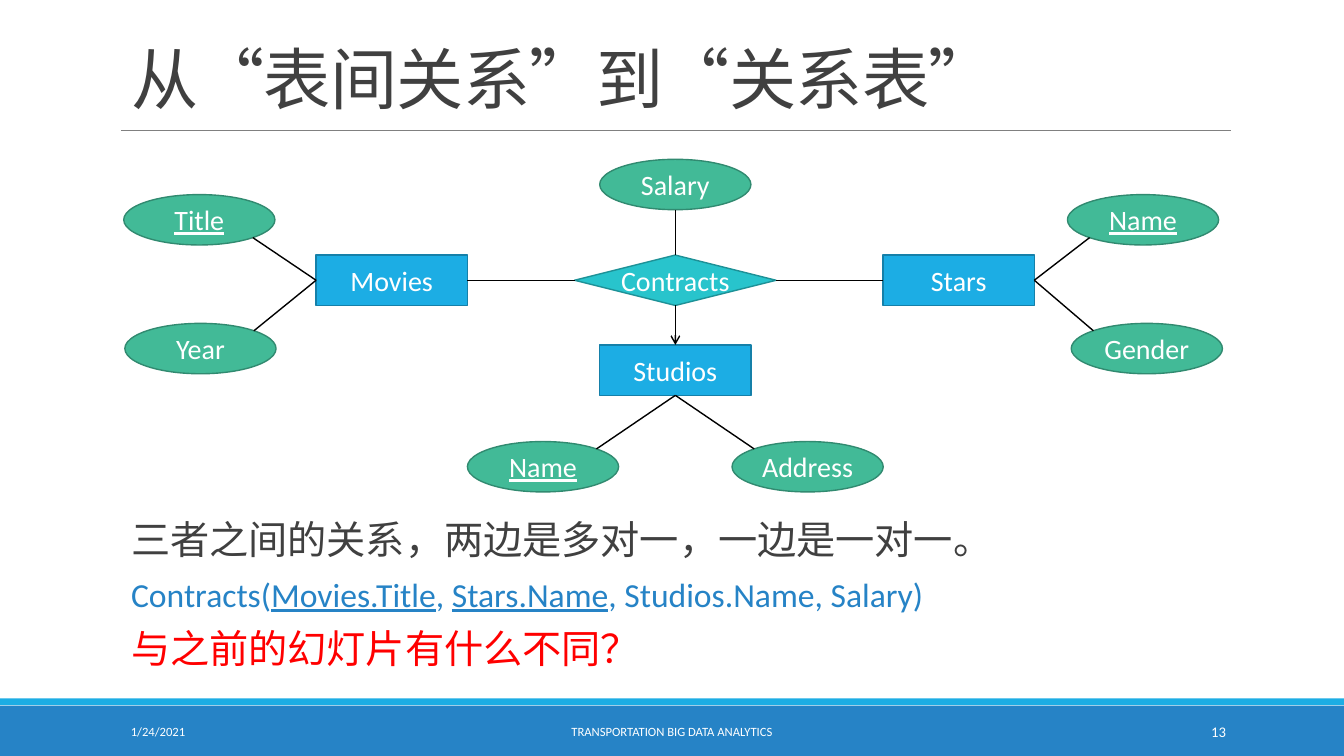
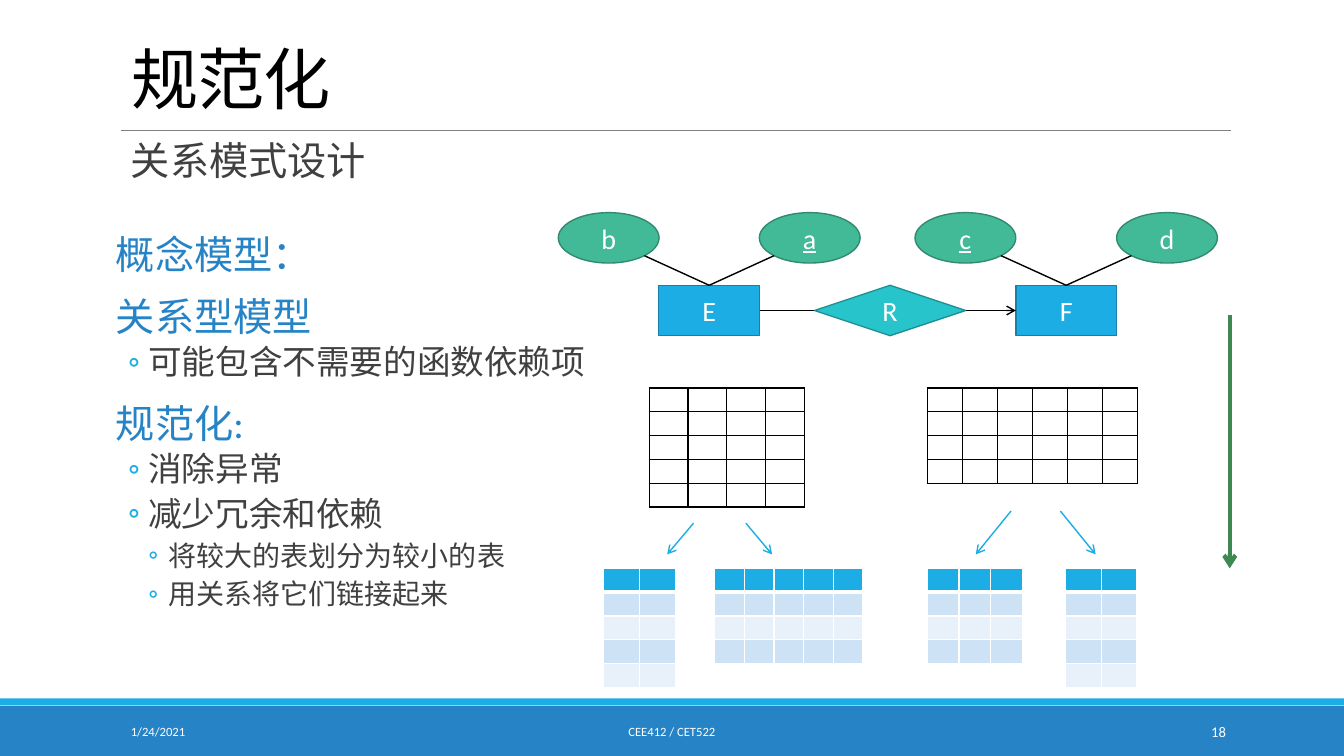
from dataclasses import dataclass
from math import sqrt

from lxml.etree import SubElement
from pptx import Presentation
from pptx.dml.color import RGBColor
from pptx.enum.lang import MSO_LANGUAGE_ID
from pptx.enum.shapes import MSO_CONNECTOR, MSO_SHAPE
from pptx.enum.text import MSO_ANCHOR, MSO_AUTO_SIZE, PP_ALIGN
from pptx.oxml.ns import qn
from pptx.util import Pt

FONT = "Calibri"
COLORS = {
    "ink": "404040", "black": "000000", "white": "FFFFFF", "red": "FF0000",
    "blue": "2683C6", "sky": "1CADE4", "sky_edge": "1580A9",
    "teal": "28C4CC", "teal_edge": "1E9197",
    "green": "42BA97", "green_edge": "318A70",
    "rule": "808080", "flow": "3E8853",
    "row_dark": "CDE3F5", "row_light": "E8F1FA",
}
ROW_HEIGHT = 17
# Unit direction from a node's centre, and the site number on a four-site shape
SIDES = {
    "top": (0, -1, 0), "left": (-1, 0, 1), "bottom": (0, 1, 2), "right": (1, 0, 3),
    "top left": (-1, -1, None), "top right": (1, -1, None),
    "bottom left": (-1, 1, None), "bottom right": (1, 1, None),
}
KINDS = {
    "entity": (MSO_SHAPE.RECTANGLE, "sky"),
    "relation": (MSO_SHAPE.DIAMOND, "teal"),
    "attribute": (MSO_SHAPE.OVAL, "green"),
}


@dataclass(frozen=True)
class Node:
    label: str
    kind: str
    left: float
    top: float
    width: float = 108
    height: float = 36
    key: bool = False

    def site(self, side: str) -> tuple[float, float]:
        dx, dy, _ = SIDES[side]
        reach = sqrt(0.5) if dx and dy else 1
        return (self.left + self.width / 2 * (1 + dx * reach),
                self.top + self.height / 2 * (1 + dy * reach))


@dataclass(frozen=True)
class Link:
    start: str
    start_side: str
    end: str
    end_side: str
    arrow: bool = False


@dataclass(frozen=True)
class Line:
    """A paragraph; each run is its text and whether it is underlined."""
    runs: tuple
    size: float = 28
    color: str = "ink"
    level: int = 0


@dataclass(frozen=True)
class Grid:
    left: float
    top: float
    columns: int
    rows: int
    column_width: float
    banded: bool = True


def rgb(name: str) -> RGBColor:
    return RGBColor.from_string(COLORS[name])


def write(paragraph, text: str, *, size: float, color: str = "white",
          underline: bool = False, tracking: float = 0) -> None:
    run = paragraph.add_run()
    run.text = text
    run.font.name = FONT
    run.font.size = Pt(size)
    run.font.color.rgb = rgb(color)
    run.font.language_id = MSO_LANGUAGE_ID.SIMPLIFIED_CHINESE
    if underline:
        run.font.underline = True
    if tracking:
        run.font._element.set("spc", str(round(tracking * 100)))


def place(shape, left: float, top: float, width: float, height: float) -> None:
    shape.left, shape.top, shape.width, shape.height = map(Pt, (left, top, width, height))


def add_block(slide, kind, box: tuple, fill: str, edge: str | None = None):
    block = slide.shapes.add_shape(kind, *map(Pt, box))
    block.shadow.inherit = False
    block.fill.solid()
    block.fill.fore_color.rgb = rgb(fill)
    if edge:
        block.line.color.rgb = rgb(edge)
        block.line.width = Pt(1)
    else:
        block.line.fill.background()
    return block


def add_line(slide, start: tuple, end: tuple, *, color: str = "black",
             width: float = 1, arrow: bool = False):
    line = slide.shapes.add_connector(MSO_CONNECTOR.STRAIGHT, *map(Pt, start + end))
    line.line.color.rgb = rgb(color)
    line.line.width = Pt(width)
    properties = line._element.spPr
    if arrow:
        SubElement(properties.find(qn("a:ln")), qn("a:tailEnd"), type="arrow")
    SubElement(properties, qn("a:effectLst"))
    return line


def add_diagram(slide, nodes: dict[str, Node], links: list[Link]) -> None:
    drawn = {}
    for name, node in nodes.items():
        kind, fill = KINDS[node.kind]
        block = add_block(slide, kind, (node.left, node.top, node.width, node.height),
                          fill, f"{fill}_edge")
        frame = block.text_frame
        frame.word_wrap = False
        frame.vertical_anchor = MSO_ANCHOR.MIDDLE
        frame.paragraphs[0].alignment = PP_ALIGN.CENTER
        write(frame.paragraphs[0], node.label, size=20, underline=node.key)
        drawn[name] = block
    for link in links:
        line = add_line(slide, nodes[link.start].site(link.start_side),
                        nodes[link.end].site(link.end_side), arrow=link.arrow)
        line.begin_connect(drawn[link.start], SIDES[link.start_side][2])
        if nodes[link.end].kind != "attribute":
            line.end_connect(drawn[link.end], SIDES[link.end_side][2])


def fill_lines(frame, lines: list[Line], spacing: float) -> None:
    frame.word_wrap = True
    frame.auto_size = MSO_AUTO_SIZE.NONE
    frame.vertical_anchor = MSO_ANCHOR.TOP
    frame.margin_left = frame.margin_right = 0
    for index, line in enumerate(lines):
        paragraph = frame.paragraphs[0] if index == 0 else frame.add_paragraph()
        paragraph.level = line.level
        paragraph.line_spacing = spacing
        before, after = (2, 4) if line.level else (12, 2)
        paragraph.space_before = Pt(before if index else 0)
        paragraph.space_after = Pt(after)
        properties = paragraph._p.get_or_add_pPr()
        margin, indent = (16 + 14.4 * line.level, -14.4) if line.level else (7.2, 0)
        properties.set("marL", str(Pt(margin)))
        properties.set("indent", str(Pt(indent)))
        if line.level:
            tint = SubElement(properties, qn("a:buClr"))
            SubElement(tint, qn("a:srgbClr"), val=COLORS["sky"])
            SubElement(properties, qn("a:buFont"), typeface=FONT)
            SubElement(properties, qn("a:buChar"), char="◦")
        else:
            SubElement(properties, qn("a:buNone"))
        for text, underline in line.runs:
            write(paragraph, text, size=line.size, color=line.color, underline=underline)


def plain(text: str, size: float = 28, color: str = "ink", level: int = 0) -> Line:
    return Line(((text, False),), size, color, level)


def set_borders(cell, color: str, top: float = 1, bottom: float = 1) -> None:
    properties = cell._tc.get_or_add_tcPr()
    widths = {"lnL": 1, "lnR": 1, "lnT": top, "lnB": bottom}
    for position, (edge, width) in enumerate(widths.items()):
        border = SubElement(properties, qn(f"a:{edge}"), w=str(Pt(width)))
        paint = SubElement(border, qn("a:solidFill"))
        SubElement(paint, qn("a:srgbClr"), val=COLORS[color])
        properties.insert(position, border)


def add_grid(slide, grid: Grid) -> None:
    frame = slide.shapes.add_table(
        grid.rows, grid.columns, Pt(grid.left), Pt(grid.top),
        Pt(grid.columns * grid.column_width), Pt(grid.rows * ROW_HEIGHT))
    table = frame.table
    table.first_row = table.horz_banding = False
    for column in table.columns:
        column.width = Pt(grid.column_width)
    for number, row in enumerate(table.rows):
        row.height = Pt(ROW_HEIGHT)
        for cell in row.cells:
            cell.margin_top = cell.margin_bottom = 0
            SubElement(cell.text_frame.paragraphs[0]._p, qn("a:endParaRPr"), sz="800")
            if grid.banded:
                band = "row_dark" if number % 2 else "row_light"
                cell.fill.solid()
                cell.fill.fore_color.rgb = rgb(band if number else "sky")
                set_borders(cell, "white", top=3 if number == 1 else 1,
                            bottom=1 if number else 3)
            else:
                cell.fill.background()
                set_borders(cell, "black")


def start_slide(deck, title: str, footer: str, page: str, title_color: str = "ink"):
    """Add a slide with its title, rule, bands and footer."""
    slide = deck.slides.add_slide(deck.slide_layouts[1])
    add_block(slide, MSO_SHAPE.RECTANGLE, (0, 504, 960, 36), "blue")
    add_block(slide, MSO_SHAPE.RECTANGLE, (0, 498.8, 960, 5), "sky")
    add_line(slide, (86.4, 93), (879, 93), color="rule", width=0.5)
    heading = slide.shapes.title
    place(heading, 86.4, 9.4, 792, 78.5)
    frame = heading.text_frame
    frame.auto_size = MSO_AUTO_SIZE.NONE
    frame.vertical_anchor = MSO_ANCHOR.BOTTOM
    paragraph = frame.paragraphs[0]
    paragraph.alignment = PP_ALIGN.LEFT
    paragraph.line_spacing = 0.85
    write(paragraph, title, size=48, color=title_color, tracking=-0.5)
    for text, left, width, size, alignment in (
            ("1/24/2021", 86.4, 194.4, 9, PP_ALIGN.LEFT),
            (footer, 290.2, 379.4, 9, PP_ALIGN.CENTER),
            (page, 779.8, 103, 10.5, PP_ALIGN.RIGHT)):
        note = slide.shapes.add_textbox(Pt(left), Pt(508.3), Pt(width), Pt(28.8)).text_frame
        note.word_wrap = True
        note.vertical_anchor = MSO_ANCHOR.MIDDLE
        note.paragraphs[0].alignment = alignment
        write(note.paragraphs[0], text, size=size)
    return slide


def build_relation_slide(deck) -> None:
    slide = start_slide(deck, "从“表间关系”到“关系表”",
                        "TRANSPORTATION BIG DATA ANALYTICS", "13")
    body = slide.placeholders[1]
    place(body, 86.4, 370.8, 792, 120.2)
    contracts = (("Contracts(", False), ("Movies.Title", True), (", ", False),
                 ("Stars.Name", True), (", Studios.Name, Salary)", False))
    fill_lines(body.text_frame, [
        plain("三者之间的关系，两边是多对一，一边是一对一。"),
        Line(contracts, 24, "blue"),
        plain("与之前的幻灯片有什么不同？", color="red"),
    ], 0.8)
    add_diagram(slide, {
        "contracts": Node("Contracts", "relation", 410.4, 182.2, 144),
        "stars": Node("Stars", "entity", 630.8, 182.2),
        "movies": Node("Movies", "entity", 225.8, 182.2),
        "studios": Node("Studios", "entity", 428.4, 246.4),
        "title": Node("Title", "attribute", 88.4, 139, key=True),
        "year": Node("Year", "attribute", 89.2, 231),
        "star name": Node("Name", "attribute", 762.5, 139, key=True),
        "gender": Node("Gender", "attribute", 765.2, 231),
        "studio name": Node("Name", "attribute", 333.9, 315.4, key=True),
        "address": Node("Address", "attribute", 522.9, 315.4),
        "salary": Node("Salary", "attribute", 428.4, 113.8),
    }, [
        Link("movies", "left", "title", "bottom right"),
        Link("movies", "left", "year", "top right"),
        Link("stars", "right", "star name", "bottom left"),
        Link("stars", "right", "gender", "top left"),
        Link("studios", "bottom", "studio name", "top right"),
        Link("studios", "bottom", "address", "top left"),
        Link("contracts", "top", "salary", "bottom"),
        Link("contracts", "left", "movies", "right"),
        Link("contracts", "right", "stars", "left"),
        Link("contracts", "bottom", "studios", "top", arrow=True),
    ])


def build_normalization_slide(deck) -> None:
    slide = start_slide(deck, "规范化", "CEE412 / CET522", "18", "black")
    body = slide.placeholders[1]
    place(body, 75.6, 164.9, 357, 318.2)
    fill_lines(body.text_frame, [
        plain("概念模型：", color="blue"),
        plain("关系型模型", color="blue"),
        plain("可能包含不需要的函数依赖项", 24, level=1),
        plain("规范化:", color="blue"),
        plain("消除异常", 24, level=1),
        plain("减少冗余和依赖", 24, level=1),
        plain("将较大的表划分为较小的表", 20, level=2),
        plain("用关系将它们链接起来", 20, level=2),
    ], 0.9)
    subtitle = slide.shapes.add_textbox(Pt(86.4), Pt(97.9), Pt(792), Pt(62))
    fill_lines(subtitle.text_frame, [plain("关系模式设计")], 0.9)
    add_diagram(slide, {
        "R": Node("R", "relation", 581.8, 203.8),
        "E": Node("E", "entity", 470.6, 203.8, 72),
        "F": Node("F", "entity", 725.6, 203.8, 72),
        "a": Node("a", "attribute", 542.4, 151.9, 72, key=True),
        "b": Node("b", "attribute", 398.8, 151.9, 72),
        "c": Node("c", "attribute", 653.6, 151.9, 72, key=True),
        "d": Node("d", "attribute", 797.6, 151.9, 72),
    }, [
        Link("E", "top", "b", "bottom right"),
        Link("E", "top", "a", "bottom left"),
        Link("F", "top", "c", "bottom right"),
        Link("F", "top", "d", "bottom left"),
        Link("R", "left", "E", "right"),
        Link("R", "right", "F", "left", arrow=True),
    ])
    for grid in (Grid(463.7, 277.2, 4, 5, 27.75, banded=False),
                 Grid(662.4, 277.2, 6, 4, 25, banded=False),
                 Grid(431.3, 406.1, 2, 5, 25.6), Grid(510.5, 406.1, 5, 4, 21.2),
                 Grid(662.4, 406.1, 3, 4, 22.6), Grid(761, 406.1, 2, 5, 25.6)):
        add_grid(slide, grid)
    for start_x, start_y, end_x in ((495.4, 373.7, 476.6), (532.8, 373.7, 551.5),
                                    (722.2, 365, 697), (757.4, 365, 782.6)):
        add_line(slide, (start_x, start_y), (end_x, 396), color="sky", arrow=True)
    add_line(slide, (878.4, 225), (878.4, 406), color="flow", width=3, arrow=True)


def main() -> None:
    deck = Presentation()
    deck.slide_width, deck.slide_height = Pt(960), Pt(540)
    build_relation_slide(deck)
    build_normalization_slide(deck)
    deck.save("out.pptx")


if __name__ == "__main__":
    main()
